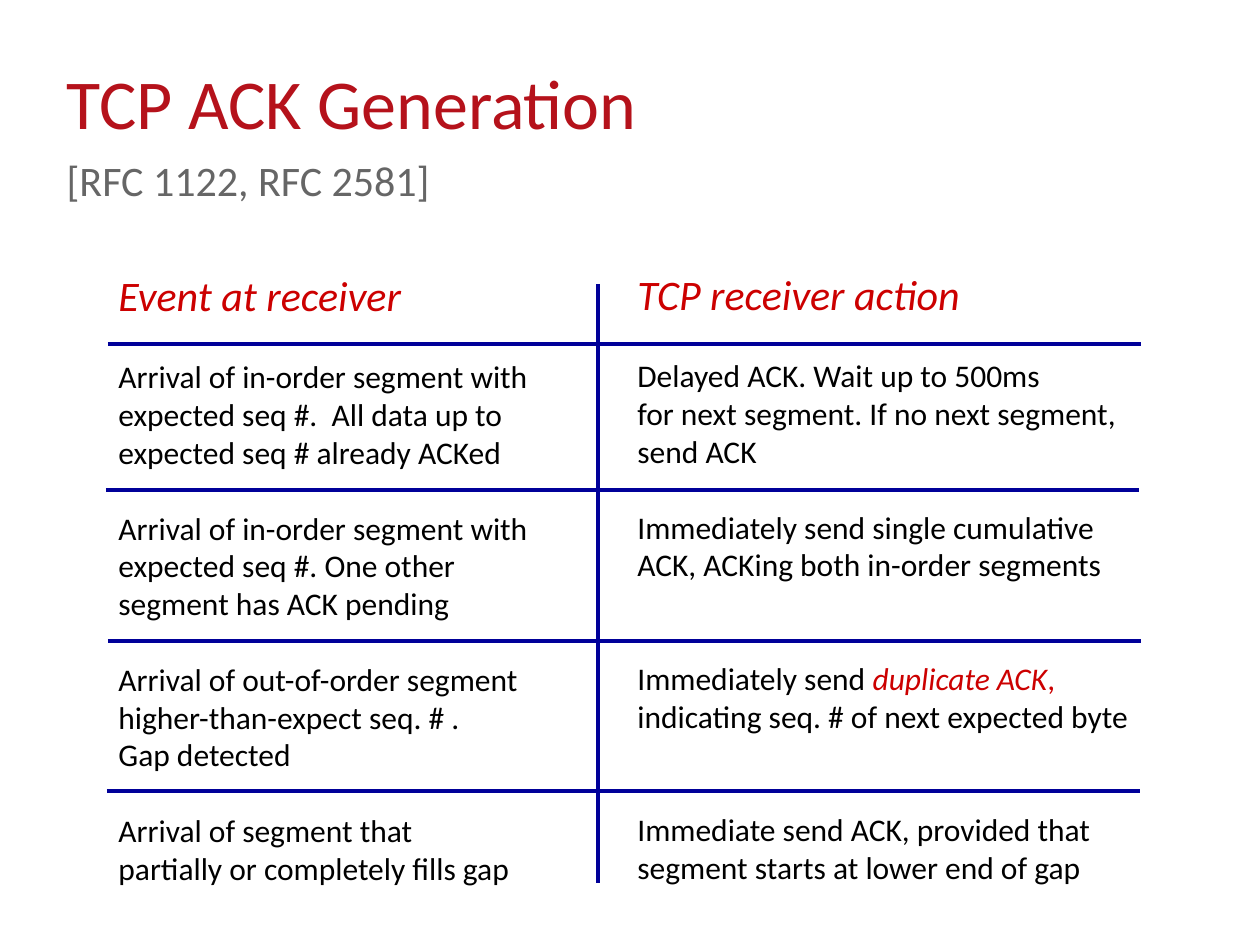
from lxml import etree
from pptx import Presentation
from pptx import util as u
from pptx.dml import color
from pptx.enum import shapes, text
from pptx.oxml import ns

SCALE = u.Inches(1) / 126
COLORS = {"title": "B5121B", "source": "666666", "accent": "CC0000",
          "body": "000000", "rule": "000099"}
LINE_PITCH = 21.6
ROW_LINES = 4

EVENTS = [
    ["Arrival of in-order segment with", "expected seq #.  All data up to",
     "expected seq # already ACKed"],
    ["Arrival of in-order segment with", "expected seq #. One other",
     "segment has ACK pending"],
    ["Arrival of out-of-order segment", "higher-than-expect seq. # .",
     "Gap detected"],
    ["Arrival of segment that", "partially or completely fills gap"],
]
DUPLICATE_ACK = [("Immediately send ", {}),
                 ("duplicate ACK", {"hue": "accent", "italic": True}),
                 (",", {"hue": "accent"})]
ACTIONS = [
    ["Delayed ACK. Wait up to 500ms", "for next segment. If no next segment,",
     "send ACK"],
    ["Immediately send single cumulative", "ACK, ACKing both in-order segments"],
    [DUPLICATE_ACK, "indicating seq. # of next expected byte"],
    ["Immediate send ACK, provided that", "segment starts at lower end of gap"],
]


def px(length):
    return u.Emu(round(length * SCALE))


def place(shape, left, top, width, height):
    shape.left, shape.top = px(left), px(top)
    shape.width, shape.height = px(width), px(height)


def add_text(paragraph, words, size=18, hue="body", italic=False):
    run = paragraph.add_run()
    run.text = words
    run.font.name = "Calibri"
    run.font.size = u.Pt(size)
    run.font.italic = italic
    run.font.color.rgb = color.RGBColor.from_string(COLORS[hue])


def add_heading(slide):
    heading = slide.shapes.title
    place(heading, 54, 76, 932, 158)
    frame = heading.text_frame
    frame.vertical_anchor = text.MSO_ANCHOR.TOP
    frame.auto_size = text.MSO_AUTO_SIZE.NONE
    lines = frame.paragraphs[0]
    lines.alignment = text.PP_ALIGN.LEFT
    lines.line_spacing = u.Pt(35)
    add_text(lines, "TCP ACK Generation", size=40, hue="title")
    lines.add_line_break()
    add_text(lines, "[RFC 1122, RFC 2581]", size=24, hue="source")


def add_column(slide, header, rows, left, top, width):
    frame = slide.shapes.add_textbox(px(left), px(top), px(width), px(696)).text_frame
    frame.word_wrap = False
    add_text(frame.paragraphs[0], header, size=24, hue="accent", italic=True)
    gap_lines = 1
    for row in rows:
        for index, line in enumerate(row):
            paragraph = frame.add_paragraph()
            if index == 0:
                paragraph.space_before = u.Pt(gap_lines * LINE_PITCH)
            pieces = [(line, {})] if isinstance(line, str) else line
            for words, look in pieces:
                add_text(paragraph, words, **look)
        gap_lines = ROW_LINES - len(row)


def add_rule(slide, x1, y1, x2, y2):
    rule = slide.shapes.add_connector(
        shapes.MSO_CONNECTOR.STRAIGHT, px(x1), px(y1), px(x2), px(y2))
    rule.line.color.rgb = color.RGBColor.from_string(COLORS["rule"])
    rule.line.width = u.Pt(2.25)
    etree.SubElement(rule.element.spPr, ns.qn("a:effectLst"))


def main():
    deck = Presentation()
    deck.slide_width, deck.slide_height = u.Inches(10), u.Inches(7.5)
    slide = deck.slides.add_slide(deck.slide_layouts[5])
    add_heading(slide)
    add_column(slide, "Event at receiver", EVENTS, 106, 263, 445)
    add_column(slide, "TCP receiver action", ACTIONS, 625, 262, 522)
    add_rule(slide, 598, 284, 598, 883)
    for left, y in [(108, 344), (106, 490), (108, 641), (107, 791)]:
        add_rule(slide, left, y, left + 1033, y)
    deck.save("out.pptx")


if __name__ == "__main__":
    main()
